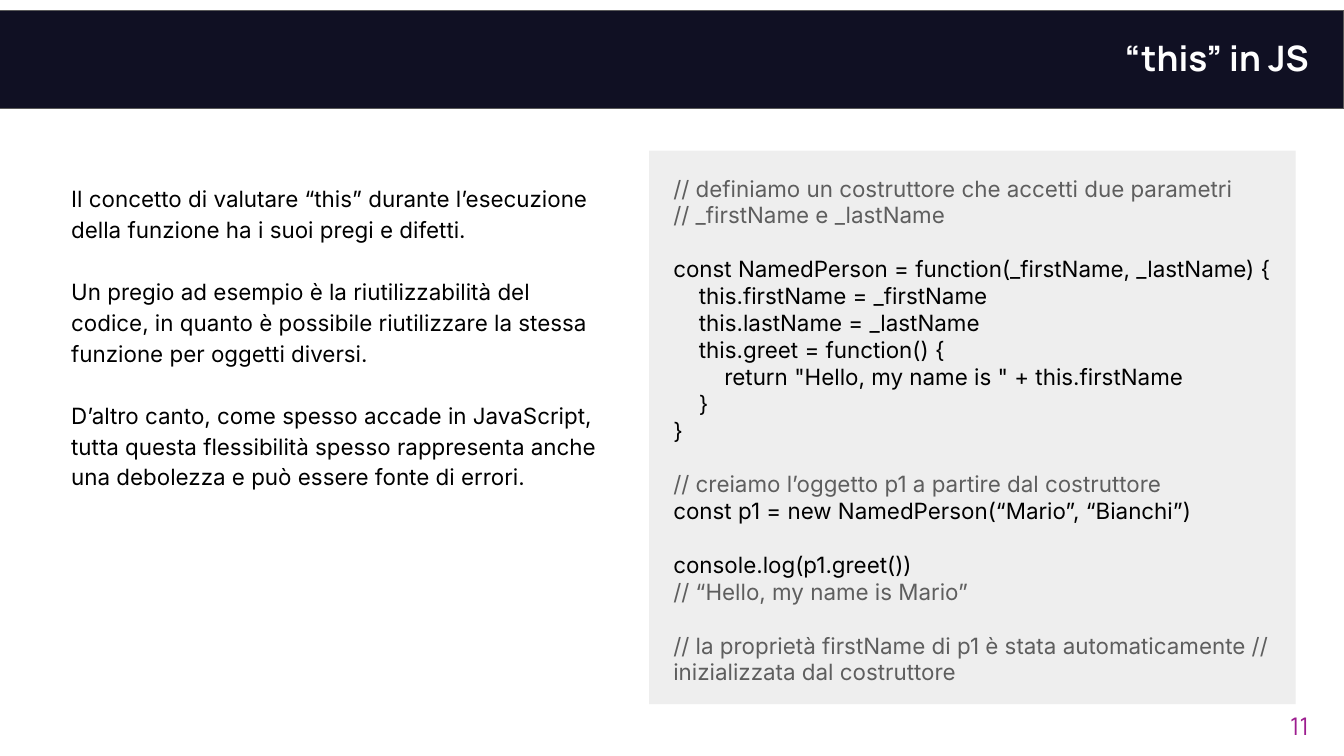
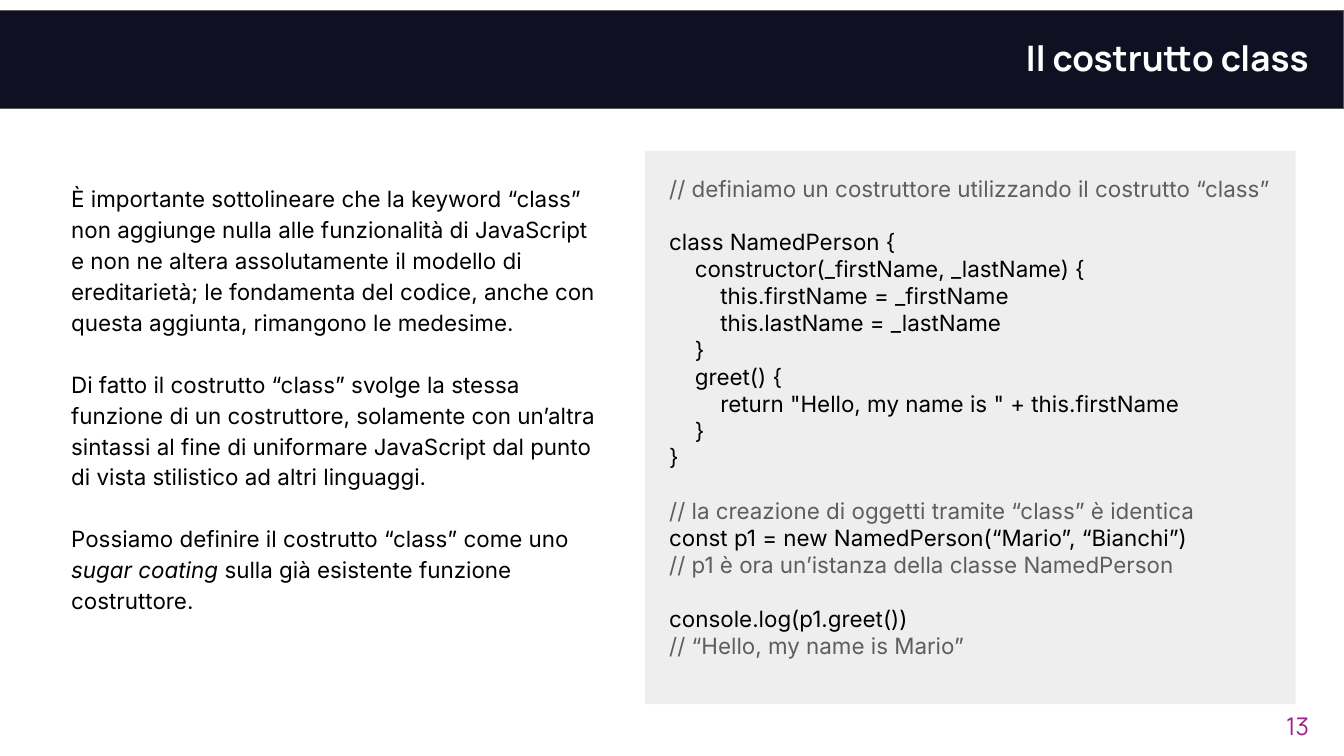
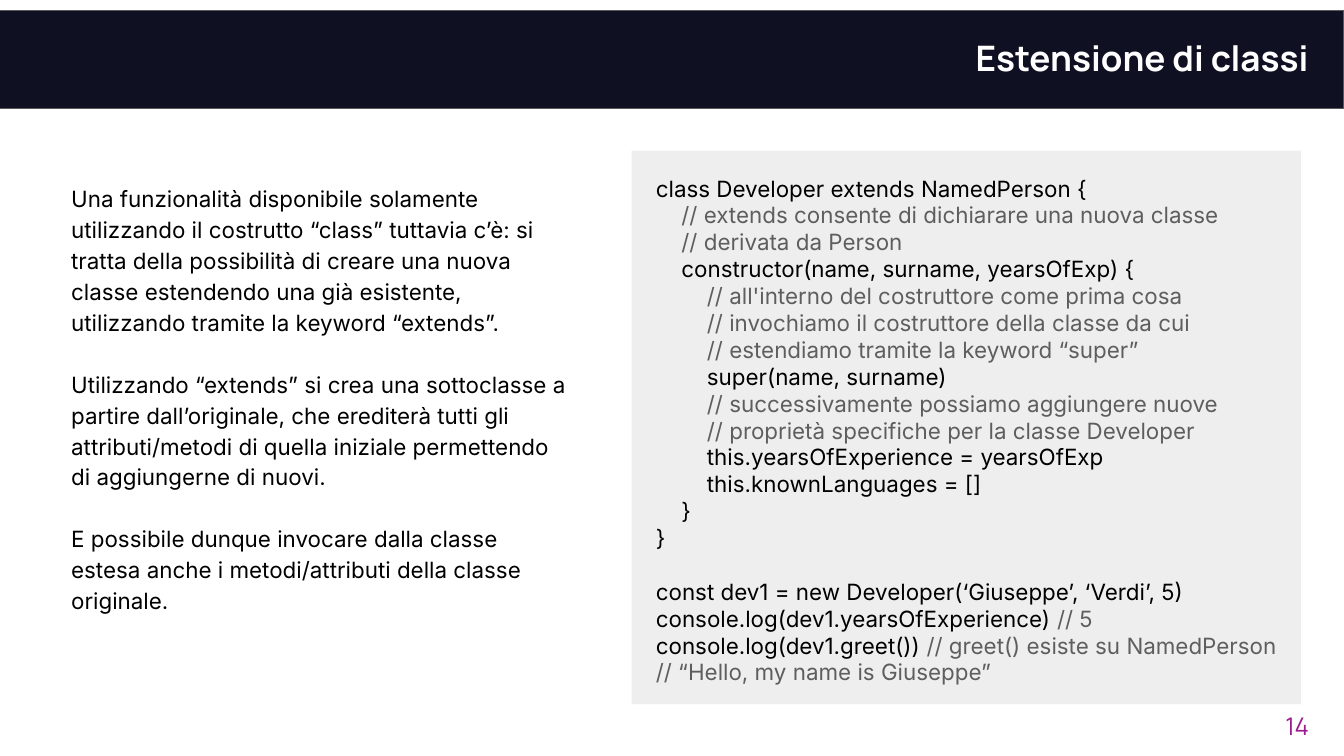
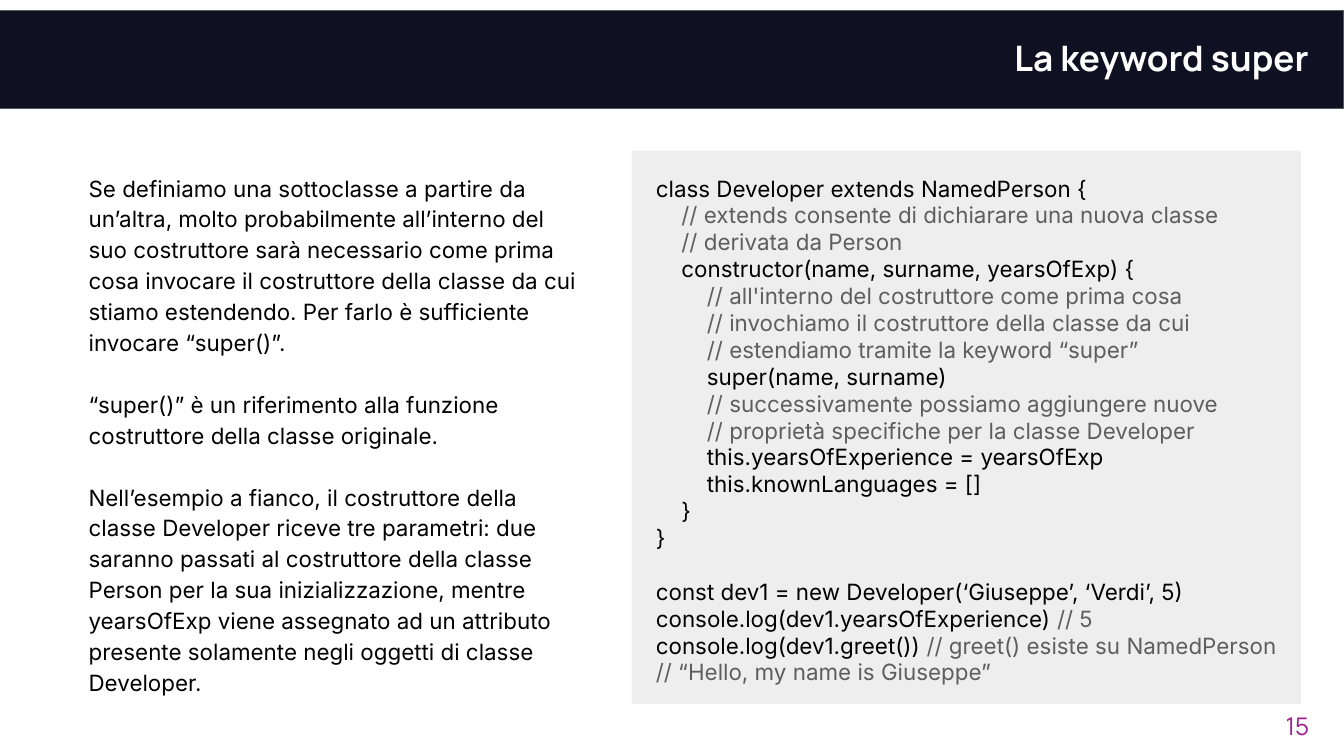
"""Build four lesson slides on JavaScript constructors and classes."""
from pptx import Presentation
from pptx.dml.color import RGBColor
from pptx.enum.shapes import MSO_SHAPE
from pptx.enum.text import MSO_ANCHOR, MSO_AUTO_SIZE, PP_ALIGN
from pptx.util import Inches, Pt

NAVY = RGBColor(0x10, 0x10, 0x23)
GREY_EDGE = RGBColor(0x59, 0x59, 0x59)
PANEL_GREY = RGBColor(0xEE, 0xEE, 0xEE)
COMMENT_GREY = RGBColor(0x5E, 0x5E, 0x5E)
PURPLE = RGBColor(0x9D, 0x1D, 0x8F)
BLACK = RGBColor(0, 0, 0)
WHITE = RGBColor(0xFF, 0xFF, 0xFF)

TITLE_FONT, TEXT_FONT = "Manrope", "Inter"
TEXT_SIZE = 12
LINE_HEIGHT = 14.4
BODY_SPACING = 1.15
INDENT_STEP = 0.19
SPACES_PER_LEVEL = 4

SLIDE_WIDTH = 10
SLIDE_SIZE = (SLIDE_WIDTH, SLIDE_WIDTH * 9 / 16)
BAND_AREA = (-0.01, 0.08, 10.01, 0.73)
TITLE_AREA = (4.45, 0.25, 5.29, 0.35)
NUMBER_AREA = (9.14, 5.19, 0.6, 0.43)
CODE_TOP, CODE_HEIGHT = 1.12, 4.12
BODY_HEIGHT = 3.95

FUNCTION_CODE = """\
// definiamo un costruttore che accetti due parametri
// _firstName e _lastName

const NamedPerson = function(_firstName, _lastName) {
    this.firstName = _firstName
    this.lastName = _lastName
    this.greet = function() {
        return "Hello, my name is " + this.firstName
    }
}

// creiamo l’oggetto p1 a partire dal costruttore
const p1 = new NamedPerson(“Mario”, “Bianchi”)

console.log(p1.greet())
// “Hello, my name is Mario”

// la proprietà firstName di p1 è stata automaticamente // inizializzata dal costruttore"""

CLASS_CODE = """\
// definiamo un costruttore utilizzando il costrutto “class”

class NamedPerson {
    constructor(_firstName, _lastName) {
        this.firstName = _firstName
        this.lastName = _lastName
    }
    greet() {
        return "Hello, my name is " + this.firstName
    }
}

// la creazione di oggetti tramite “class” è identica
const p1 = new NamedPerson(“Mario”, “Bianchi”)
// p1 è ora un’istanza della classe NamedPerson

console.log(p1.greet())
// “Hello, my name is Mario”"""

EXTENDS_CODE = """\
class Developer extends NamedPerson {
    // extends consente di dichiarare una nuova classe
    // derivata da Person
    constructor(name, surname, yearsOfExp) {
        // all'interno del costruttore come prima cosa
        // invochiamo il costruttore della classe da cui
        // estendiamo tramite la keyword “super”
        super(name, surname)
        // successivamente possiamo aggiungere nuove
        // proprietà specifiche per la classe Developer
        this.yearsOfExperience = yearsOfExp
        this.knownLanguages = []
    }
}

const dev1 = new Developer(‘Giuseppe’, ‘Verdi’, 5)
console.log(dev1.yearsOfExperience) // 5
console.log(dev1.greet()) // greet() esiste su NamedPerson
// “Hello, my name is Giuseppe”"""

LESSONS = [
    {
        "title": "“this” in JS",
        "number": 11,
        "body_place": (0.53, 1.25, 4.03),
        "body": [
            "Il concetto di valutare “this” durante l’esecuzione della funzione ha i suoi "
            "pregi e difetti.",
            "Un pregio ad esempio è la riutilizzabilità del codice, in quanto è possibile "
            "riutilizzare la stessa funzione per oggetti diversi.",
            "D’altro canto, come spesso accade in JavaScript, tutta questa flessibilità "
            "spesso rappresenta anche una debolezza e può essere fonte di errori.",
        ],
        "code_span": (4.83, 4.81),
        "code": FUNCTION_CODE,
    },
    {
        "title": "Il costrutto class",
        "number": 13,
        "body_place": (0.53, 1.25, 4.03),
        "body": [
            "È importante sottolineare che la keyword “class” non aggiunge nulla alle "
            "funzionalità di JavaScript e non ne altera assolutamente il modello di "
            "ereditarietà; le fondamenta del codice, anche con questa aggiunta, rimangono "
            "le medesime.",
            "Di fatto il costrutto “class” svolge la stessa funzione di un costruttore, "
            "solamente con un’altra sintassi al fine di uniformare JavaScript dal punto di "
            "vista stilistico ad altri linguaggi.",
            "Possiamo definire il costrutto “class” come uno *sugar coating* sulla già "
            "esistente funzione costruttore.",
        ],
        "code_span": (4.8, 4.84),
        "code": CLASS_CODE,
    },
    {
        "title": "Estensione di classi",
        "number": 14,
        "body_place": (0.53, 1.25, 3.83),
        "body": [
            "Una funzionalità disponibile solamente utilizzando il costrutto “class” "
            "tuttavia c’è: si tratta della possibilità di creare una nuova classe "
            "estendendo una già esistente, utilizzando tramite la keyword “extends”.",
            "Utilizzando “extends” si crea una sottoclasse a partire dall’originale, che "
            "erediterà tutti gli attributi/metodi di quella iniziale permettendo di "
            "aggiungerne di nuovi.",
            "E possibile dunque invocare dalla classe estesa anche i metodi/attributi "
            "della classe originale.",
        ],
        "code_span": (4.7, 4.98),
        "code": EXTENDS_CODE,
    },
    {
        "title": "La keyword super",
        "number": 15,
        "body_place": (0.66, 1.17, 3.8),
        "body": [
            "Se definiamo una sottoclasse a partire da un’altra, molto probabilmente "
            "all’interno del suo costruttore sarà necessario come prima cosa invocare il "
            "costruttore della classe da cui stiamo estendendo. Per farlo è sufficiente "
            "invocare “super()”.",
            "“super()” è un riferimento alla funzione costruttore della classe originale.",
            "Nell’esempio a fianco, il costruttore della classe Developer riceve tre "
            "parametri: due saranno passati al costruttore della classe Person per la sua "
            "inizializzazione, mentre yearsOfExp viene assegnato ad un attributo presente "
            "solamente negli oggetti di classe Developer.",
        ],
        "code_span": (4.7, 4.98),
        "code": EXTENDS_CODE,
    },
]


def to_inches(area):
    return [Inches(length) for length in area]


def prepare_frame(shape, insets, anchor=MSO_ANCHOR.TOP):
    frame = shape.text_frame
    frame.word_wrap = True
    frame.auto_size = MSO_AUTO_SIZE.NONE
    frame.vertical_anchor = anchor
    (frame.margin_left, frame.margin_top,
     frame.margin_right, frame.margin_bottom) = to_inches(insets)
    return frame


def next_paragraph(frame, index):
    return frame.add_paragraph() if index else frame.paragraphs[0]


def add_span(para, text, color, size=TEXT_SIZE, font=TEXT_FONT, bold=None, italic=None):
    span = para.add_run()
    span.text = text
    span.font.name = font
    span.font.size = Pt(size)
    span.font.color.rgb = color
    span.font.bold = bold
    span.font.italic = italic


def add_rectangle(page, area, color):
    box = page.shapes.add_shape(MSO_SHAPE.RECTANGLE, *to_inches(area))
    box.shadow.inherit = False
    box.fill.solid()
    box.fill.fore_color.rgb = color
    box.line.fill.background()
    return box


def add_header(page, title_text):
    band = add_rectangle(page, BAND_AREA, NAVY)
    band.line.color.rgb = GREY_EDGE
    band.line.width = Pt(0.75)
    title = page.shapes.title
    title.element.addprevious(band.element)
    title.left, title.top, title.width, title.height = to_inches(TITLE_AREA)
    para = prepare_frame(title, (0.1, 0, 0, 0), MSO_ANCHOR.MIDDLE).paragraphs[0]
    para.alignment = PP_ALIGN.RIGHT
    add_span(para, title_text, WHITE, 18.8, TITLE_FONT, bold=True)


def add_page_number(page, number):
    box = page.shapes.add_textbox(*to_inches(NUMBER_AREA))
    para = prepare_frame(box, (0.1, 0.1, 0, 0.1)).paragraphs[0]
    para.alignment = PP_ALIGN.RIGHT
    add_span(para, str(number), PURPLE, 13, TITLE_FONT)


def add_body(page, place, paragraphs):
    box = page.shapes.add_textbox(*to_inches((*place, BODY_HEIGHT)))
    frame = prepare_frame(box, (0, 0.1, 0.1, 0.1))
    for index, text in enumerate(paragraphs):
        para = next_paragraph(frame, index)
        para.line_spacing = BODY_SPACING
        if index:
            para.space_before = Pt(LINE_HEIGHT * BODY_SPACING)
        for part, words in enumerate(text.split("*")):
            add_span(para, words, BLACK, italic=part % 2 == 1)


def add_code(page, span, code):
    left, width = span
    panel = add_rectangle(page, (left, CODE_TOP, width, CODE_HEIGHT), PANEL_GREY)
    frame = prepare_frame(panel, (0.18, 0.18, 0.15, 0.18))
    lines = code.split("\n")
    for index, line in enumerate(lines):
        if not line:
            continue
        para = next_paragraph(frame, index)
        para.alignment = PP_ALIGN.LEFT
        if index and not lines[index - 1]:
            para.space_before = Pt(LINE_HEIGHT)
        text = line.lstrip()
        level = (len(line) - len(text)) // SPACES_PER_LEVEL
        if level:
            para._p.get_or_add_pPr().set("marL", str(Inches(INDENT_STEP * level)))
        statement, slashes, comment = text.partition("//")
        if statement:
            add_span(para, statement, BLACK)
        if slashes:
            add_span(para, slashes + comment, COMMENT_GREY)


def main():
    deck = Presentation()
    deck.slide_width, deck.slide_height = to_inches(SLIDE_SIZE)
    title_only = deck.slide_layouts.get_by_name("Title Only")
    for lesson in LESSONS:
        page = deck.slides.add_slide(title_only)
        add_header(page, lesson["title"])
        add_page_number(page, lesson["number"])
        add_code(page, lesson["code_span"], lesson["code"])
        add_body(page, lesson["body_place"], lesson["body"])
    deck.save("out.pptx")


if __name__ == "__main__":
    main()
